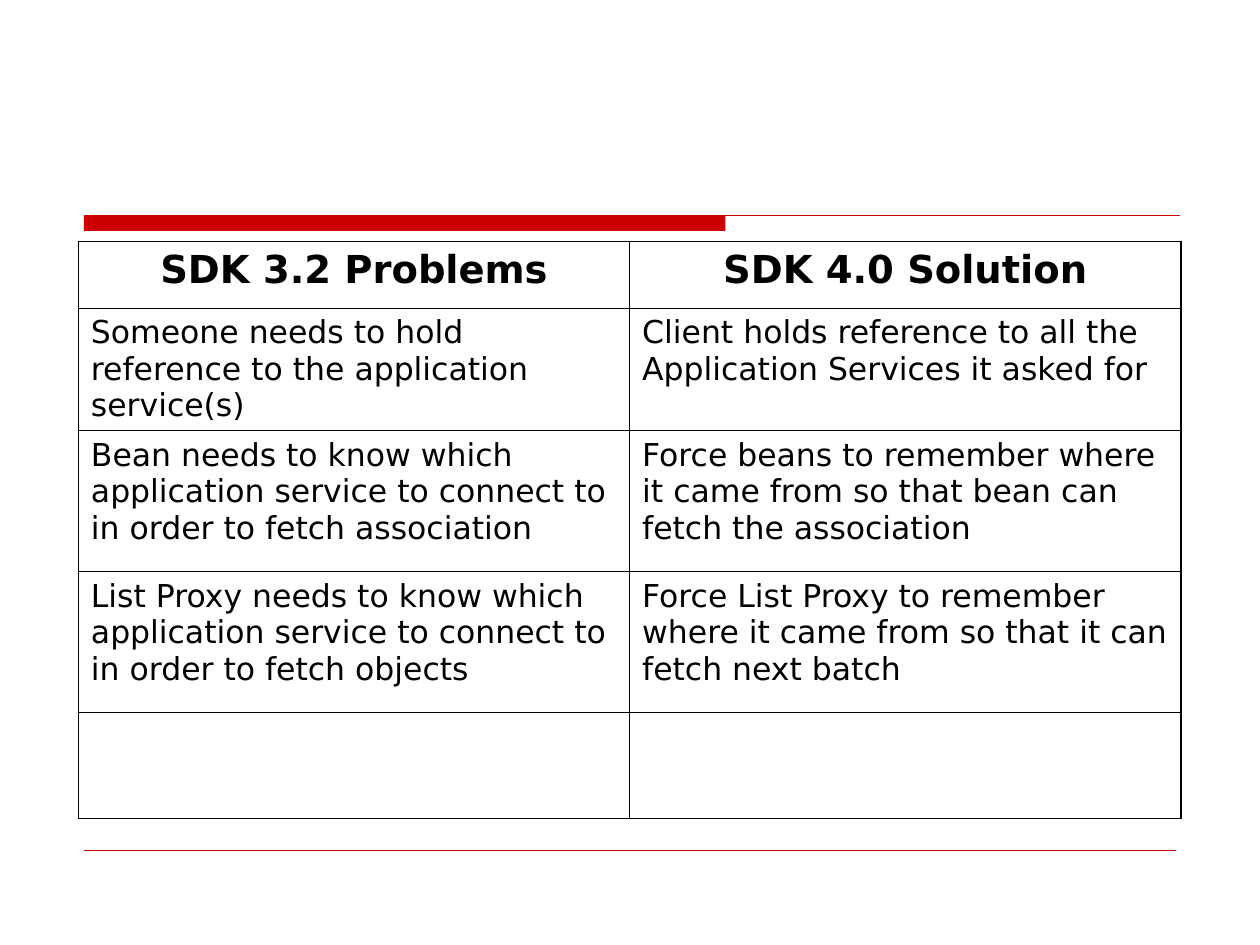
from lxml import etree
from pptx import Presentation
from pptx.dml.color import RGBColor
from pptx.enum.shapes import MSO_CONNECTOR, MSO_SHAPE
from pptx.enum.text import PP_ALIGN
from pptx.oxml.ns import qn
from pptx.util import Pt

COLORS = {"accent": "CC0000", "text": "000000", "border": "000000"}
FONT = "DejaVu Sans"
OUTER, INNER = 1.08, 0.45

ROWS = [
    ("SDK 3.2 Problems", "SDK 4.0 Solution"),
    ("Someone needs to hold reference to the application service(s)",
     "Client holds reference to all the Application Services it asked for"),
    ("Bean needs to know which application service to connect to in order to fetch association",
     "Force beans to remember where it came from so that bean can fetch the association"),
    ("List Proxy needs to know which application service to connect to in order to fetch objects",
     "Force List Proxy to remember where it came from so that it can fetch next batch"),
    ("", ""),
]
ROW_HEIGHTS = [38.2, 64.8, 80.6, 80.6, 60.5]


def rgb(name):
    return RGBColor.from_string(COLORS[name])


def write_text(tf, text, size=18, bold=False, align=PP_ALIGN.LEFT):
    p = tf.paragraphs[0]
    p.alignment = align
    p.space_before = Pt(size / 4)
    p.font.size = Pt(size)
    if text:
        r = p.add_run()
        r.text = text
        r.font.name = FONT
        r.font.size = Pt(size)
        r.font.bold = bold
        r.font.color.rgb = rgb("text")


def add_rule(slide, left, top, width, weight):
    line = slide.shapes.add_connector(
        MSO_CONNECTOR.STRAIGHT, Pt(left), Pt(top), Pt(left + width), Pt(top))
    line.line.color.rgb = rgb("accent")
    line.line.width = Pt(weight)
    etree.SubElement(line._element.spPr, qn("a:effectLst"))


def add_title_rule(slide, left, top, width, height):
    """Thin rule with a thick bar hanging from its left part."""
    bar = slide.shapes.add_shape(
        MSO_SHAPE.RECTANGLE, Pt(left), Pt(top), Pt(width * 0.585), Pt(height))
    bar.shadow.inherit = False
    bar.fill.solid()
    bar.fill.fore_color.rgb = rgb("accent")
    bar.line.fill.background()
    add_rule(slide, left, top, width, 0.75)


def set_borders(cell, weights):
    tc_pr = cell._tc.get_or_add_tcPr()
    for side, weight in weights.items():
        ln = etree.SubElement(tc_pr, qn(f"a:ln{side}"), w=str(Pt(weight)))
        fill = etree.SubElement(ln, qn("a:solidFill"))
        etree.SubElement(fill, qn("a:srgbClr"), val=COLORS["border"])


def add_comparison_table(slide, left, top, width):
    n_rows, n_cols = len(ROWS), len(ROWS[0])
    table = slide.shapes.add_table(
        n_rows, n_cols, Pt(left), Pt(top), Pt(width), Pt(sum(ROW_HEIGHTS))).table
    table.first_row = table.horz_banding = False
    for col in table.columns:
        col.width = Pt(width / n_cols)
    for i, (texts, height) in enumerate(zip(ROWS, ROW_HEIGHTS)):
        table.rows[i].height = Pt(height)
        style = dict(size=22, bold=True, align=PP_ALIGN.CENTER) if i == 0 else {}
        for j, text in enumerate(texts):
            cell = table.cell(i, j)
            write_text(cell.text_frame, text, **style)
            set_borders(cell, {
                "L": OUTER if j == 0 else INNER,
                "R": OUTER if j == n_cols - 1 else INNER,
                "T": OUTER if i == 0 else INNER,
                "B": OUTER if i == n_rows - 1 else INNER,
            })
            cell.fill.background()


def main():
    prs = Presentation()
    prs.slide_width, prs.slide_height = Pt(720), Pt(540)
    slide = prs.slides.add_slide(prs.slide_layouts[6])
    add_title_rule(slide, 48, 123, 626.5, 9)
    add_rule(slide, 48, 486, 624, 0.25)
    add_comparison_table(slide, 44.8, 138, 630)
    prs.save("out.pptx")


if __name__ == "__main__":
    main()
